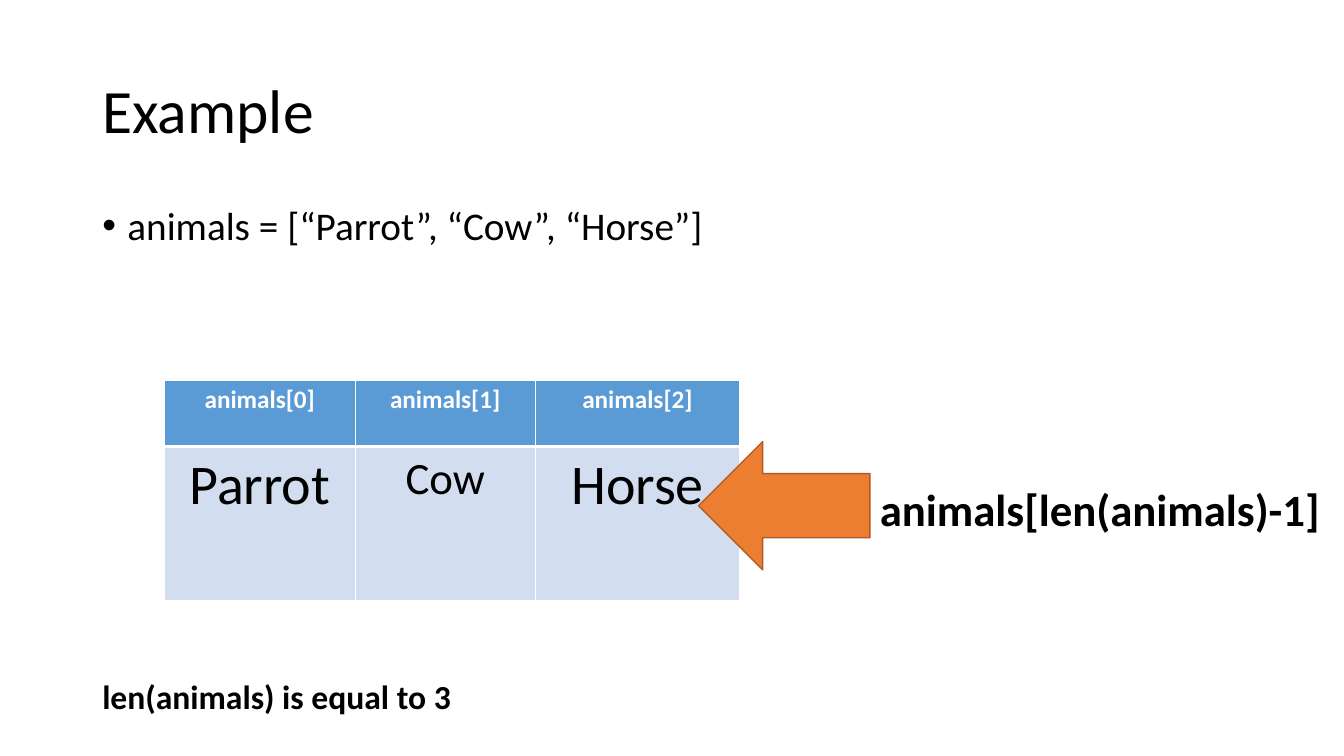
from dataclasses import dataclass

from lxml.etree import SubElement
from pptx import Presentation
from pptx.dml.color import RGBColor
from pptx.enum.shapes import MSO_SHAPE
from pptx.enum.text import MSO_ANCHOR, MSO_AUTO_SIZE, PP_ALIGN
from pptx.oxml.ns import qn
from pptx.slide import Slide
from pptx.table import _Cell
from pptx.text.text import _Paragraph
from pptx.util import Pt

FONT = "Calibri"
BLACK = RGBColor(0x00, 0x00, 0x00)
WHITE = RGBColor(0xFF, 0xFF, 0xFF)
HEADER_BLUE = RGBColor(0x5B, 0x9B, 0xD5)
CELL_BLUE = RGBColor(0xD2, 0xDE, 0xEF)
ORANGE = RGBColor(0xED, 0x7D, 0x31)
DARK_ORANGE = RGBColor(0xAF, 0x5C, 0x24)


@dataclass
class TextBlock:
    text: str
    left: float
    top: float
    width: float
    height: float
    size: float
    bold: bool = False
    anchor: MSO_ANCHOR = MSO_ANCHOR.TOP
    line_spacing: float = 1.0
    bullet: bool = False
    grows: bool = False


@dataclass
class Animal:
    name: str
    size: float
    column_width: float


TEXT_BLOCKS = [
    TextBlock("Example", 66, 28.8, 828, 104.4, 44,
              anchor=MSO_ANCHOR.MIDDLE, line_spacing=0.9),
    TextBlock("animals = [“Parrot”, “Cow”, “Horse”]", 66, 144, 828, 342.7, 28,
              line_spacing=0.9, bullet=True),
    TextBlock("len(animals) is equal to 3", 66, 479.5, 275.8, 36, 24,
              bold=True, grows=True),
    TextBlock("animals[len(animals)-1]", 621.4, 340.6, 338.4, 46, 32,
              bold=True, grows=True),
]
ANIMALS = [
    Animal("Parrot", 40, 136.4),
    Animal("Cow", 32, 128.5),
    Animal("Horse", 40, 146.2),
]
ROW_HEIGHTS = (47.5, 109.8)


def format_paragraph(paragraph: _Paragraph, size: float, color: RGBColor, bold: bool) -> None:
    for run in paragraph.runs:
        run.font.name = FONT
        run.font.size = Pt(size)
        run.font.bold = bold
        run.font.color.rgb = color


def add_bullet(paragraph: _Paragraph, indent: float) -> None:
    properties = paragraph._p.get_or_add_pPr()
    properties.set("marL", str(Pt(indent)))
    properties.set("indent", str(-Pt(indent)))
    SubElement(properties, qn("a:buFont"), typeface="Arial")
    SubElement(properties, qn("a:buChar"), char="•")


def add_text(slide: Slide, block: TextBlock) -> None:
    shape = slide.shapes.add_textbox(
        Pt(block.left), Pt(block.top), Pt(block.width), Pt(block.height))
    text_frame = shape.text_frame
    text_frame.text = block.text
    text_frame.word_wrap = not block.grows
    text_frame.auto_size = (
        MSO_AUTO_SIZE.SHAPE_TO_FIT_TEXT if block.grows else MSO_AUTO_SIZE.NONE)
    text_frame.vertical_anchor = block.anchor
    paragraph = text_frame.paragraphs[0]
    paragraph.line_spacing = block.line_spacing
    if block.bullet:
        add_bullet(paragraph, 18)
    format_paragraph(paragraph, block.size, BLACK, block.bold)


def add_borders(cell: _Cell, top: float, bottom: float) -> None:
    properties = cell._tc.get_or_add_tcPr()
    for side, width in (("L", 1), ("R", 1), ("T", top), ("B", bottom)):
        line = SubElement(properties, qn(f"a:ln{side}"), w=str(Pt(width)))
        fill = SubElement(line, qn("a:solidFill"))
        SubElement(fill, qn("a:srgbClr"), val=str(WHITE))


def fill_cell(cell: _Cell, text: str, size: float, is_header: bool) -> None:
    cell.text_frame.text = text
    paragraph = cell.text_frame.paragraphs[0]
    paragraph.alignment = PP_ALIGN.CENTER
    format_paragraph(paragraph, size, WHITE if is_header else BLACK, is_header)
    add_borders(cell, 1 if is_header else 3, 3 if is_header else 1)
    cell.fill.solid()
    cell.fill.fore_color.rgb = HEADER_BLUE if is_header else CELL_BLUE


def add_animal_table(slide: Slide) -> None:
    width = sum(animal.column_width for animal in ANIMALS)
    table = slide.shapes.add_table(
        len(ROW_HEIGHTS), len(ANIMALS), Pt(117.4), Pt(271.4),
        Pt(width), Pt(sum(ROW_HEIGHTS))).table
    table.first_row = True
    table.horz_banding = False
    for row, height in zip(table.rows, ROW_HEIGHTS):
        row.height = Pt(height)
    for index, animal in enumerate(ANIMALS):
        table.columns[index].width = Pt(animal.column_width)
        fill_cell(table.cell(0, index), f"animals[{index}]", 18, True)
        fill_cell(table.cell(1, index), animal.name, animal.size, False)


def add_pointer(slide: Slide) -> None:
    arrow = slide.shapes.add_shape(
        MSO_SHAPE.LEFT_ARROW, Pt(499), Pt(315.4), Pt(122.4), Pt(91.6))
    arrow.shadow.inherit = False
    arrow.fill.solid()
    arrow.fill.fore_color.rgb = ORANGE
    arrow.line.color.rgb = DARK_ORANGE
    arrow.line.width = Pt(1)


def main() -> None:
    presentation = Presentation()
    presentation.slide_width = Pt(960)
    presentation.slide_height = Pt(540)
    slide = presentation.slides.add_slide(presentation.slide_layouts[6])

    # Table of list items, with the texts around it
    add_animal_table(slide)
    for block in TEXT_BLOCKS:
        add_text(slide, block)

    # Arrow to the last item
    add_pointer(slide)
    presentation.save("out.pptx")


if __name__ == "__main__":
    main()
